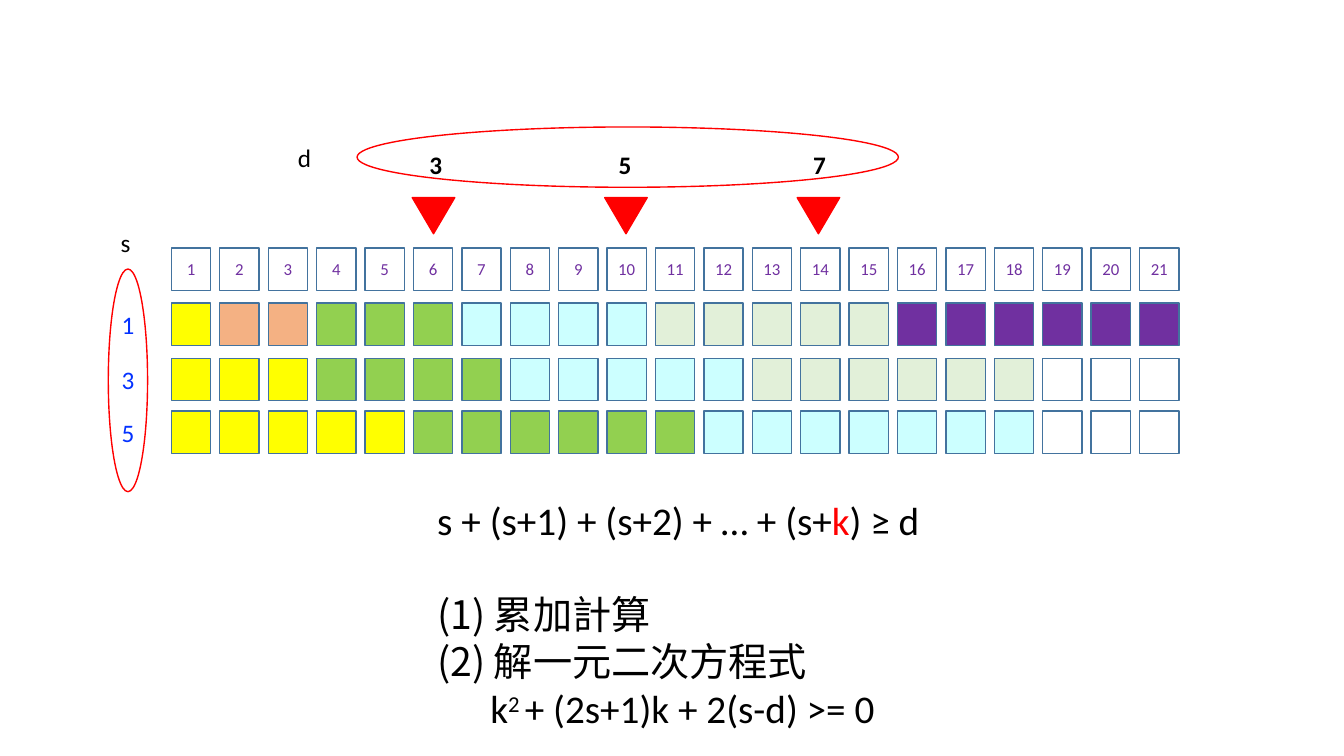
from lxml.etree import SubElement
from pptx import Presentation
from pptx.dml.color import RGBColor
from pptx.enum.shapes import MSO_SHAPE
from pptx.enum.text import MSO_ANCHOR, MSO_AUTO_SIZE, PP_ALIGN
from pptx.oxml.ns import qn
from pptx.util import Cm, Pt

BLACK = RGBColor(0x00, 0x00, 0x00)
RED = RGBColor(0xFF, 0x00, 0x00)
BLUE = RGBColor(0x04, 0x32, 0xFF)
OUTLINE = RGBColor(0x43, 0x73, 0x9E)
YELLOW = RGBColor(0xFF, 0xFF, 0x00)
ORANGE = RGBColor(0xF4, 0xB1, 0x83)
GREEN = RGBColor(0x92, 0xD0, 0x50)
CYAN = RGBColor(0xCC, 0xFF, 0xFF)
PALE = RGBColor(0xE2, 0xF0, 0xD9)
PURPLE = RGBColor(0x70, 0x30, 0xA0)

DAYS = 21
FIRST_LEFT, PITCH = 4.32, 1.22
CELL_WIDTH, CELL_HEIGHT = 0.99, 1.07
NUMBERS_TOP = 6.25

presentation = Presentation()
presentation.slide_width = Cm(33.87)
presentation.slide_height = Cm(19.05)
slide = presentation.slides.add_slide(presentation.slide_layouts[6])


def draw(kind, left, top, width, height, line, fill=None):
    shape = slide.shapes.add_shape(kind, Cm(left), Cm(top), Cm(width), Cm(height))
    shape.shadow.inherit = False
    shape.line.color.rgb = line
    shape.line.width = Pt(1)
    if fill is None:
        shape.fill.background()
    else:
        shape.fill.solid()
        shape.fill.fore_color.rgb = fill
    return shape


def write(paragraph, text, color, size, **extra):
    run = paragraph.add_run()
    run.text = text
    run.font.color.rgb = color
    for attribute, value in {"name": "Calibri", "size": Pt(size), **extra}.items():
        setattr(run.font, attribute, value)
    return run


for day in range(DAYS):
    number = draw(MSO_SHAPE.RECTANGLE, FIRST_LEFT + day * PITCH, NUMBERS_TOP,
                  CELL_WIDTH, CELL_HEIGHT, OUTLINE)
    number.text_frame.vertical_anchor = MSO_ANCHOR.MIDDLE
    number.text_frame.paragraphs[0].alignment = PP_ALIGN.CENTER
    write(number.text_frame.paragraphs[0], str(day + 1), PURPLE, 12)

stays = [
    (1, 7.64, [YELLOW, ORANGE, GREEN, CYAN, PALE, PURPLE]),
    (3, 9.03, [YELLOW, GREEN, CYAN, PALE]),
    (5, 10.36, [YELLOW, GREEN, CYAN]),
]
for start, top, groups in stays:
    fills = []
    for step, color in enumerate(groups):
        fills += [color] * (start + step)
    fills += [None] * (DAYS - len(fills))
    for day, fill in enumerate(fills):
        draw(MSO_SHAPE.RECTANGLE, FIRST_LEFT + day * PITCH, top,
             CELL_WIDTH, CELL_HEIGHT, OUTLINE, fill)

    start_label = slide.shapes.add_textbox(Cm(2.73), Cm(top), Cm(CELL_WIDTH), Cm(CELL_HEIGHT))
    start_label.text_frame.word_wrap = True
    start_label.text_frame.vertical_anchor = MSO_ANCHOR.MIDDLE
    start_label.text_frame.paragraphs[0].alignment = PP_ALIGN.CENTER
    write(start_label.text_frame.paragraphs[0], str(start), BLUE, 18)

for marker in range(3):
    pointer = draw(MSO_SHAPE.ISOSCELES_TRIANGLE, 10.39 + marker * 4.85, 4.98,
                   1.07, 0.91, RED, RED)
    pointer.rotation = 180

draw(MSO_SHAPE.OVAL, 2.73, 6.78, 0.99, 5.61, RED)
draw(MSO_SHAPE.OVAL, 9, 3.2, 13.64, 1.52, RED)

labels = [
    ("3", 10.57, 3.63, 0.84, True),
    ("5", 15.34, 3.63, 0.84, True),
    ("7", 20.24, 3.63, 0.84, True),
    ("s", 2.79, 5.61, 0.76, False),
    ("d", 7.26, 3.45, 0.86, False),
]
for text, left, top, width, bold in labels:
    label = slide.shapes.add_textbox(Cm(left), Cm(top), Cm(width), Cm(1.02))
    label.text_frame.word_wrap = False
    label.text_frame.auto_size = MSO_AUTO_SIZE.SHAPE_TO_FIT_TEXT
    write(label.text_frame.paragraphs[0], text, BLACK, 18, bold=bold)

solution = slide.shapes.add_textbox(Cm(10.77), Cm(12.37), Cm(12.85), Cm(6.25)).text_frame
solution.word_wrap = False
solution.auto_size = MSO_AUTO_SIZE.SHAPE_TO_FIT_TEXT
inequality = solution.paragraphs[0]
inequality.space_after = Pt(34)
for text, color in [("s + (s+1) + (s+2) + … + (s+", BLACK), ("k", RED), (") ≥ d", BLACK)]:
    write(inequality, text, color, 28)

for method in ["累加計算", "解一元二次方程式"]:
    item = solution.add_paragraph()
    write(item, method, BLACK, 28)
    properties = item._p.get_or_add_pPr()
    properties.set("marL", str(Cm(1.43)))
    properties.set("indent", str(-Cm(1.43)))
    SubElement(properties, qn("a:buFont"), typeface="+mj-lt")
    SubElement(properties, qn("a:buAutoNum"), type="arabicParenBoth")

quadratic = solution.add_paragraph()
quadratic._p.get_or_add_pPr().set("marL", str(Cm(1.34)))
write(quadratic, "k", BLACK, 28)
exponent = write(quadratic, "2 ", BLACK, 28)
exponent._r.get_or_add_rPr().set("baseline", "30000")
write(quadratic, "+ (2s+1)k + 2(s-d) >= 0", BLACK, 28)

presentation.save("out.pptx")
